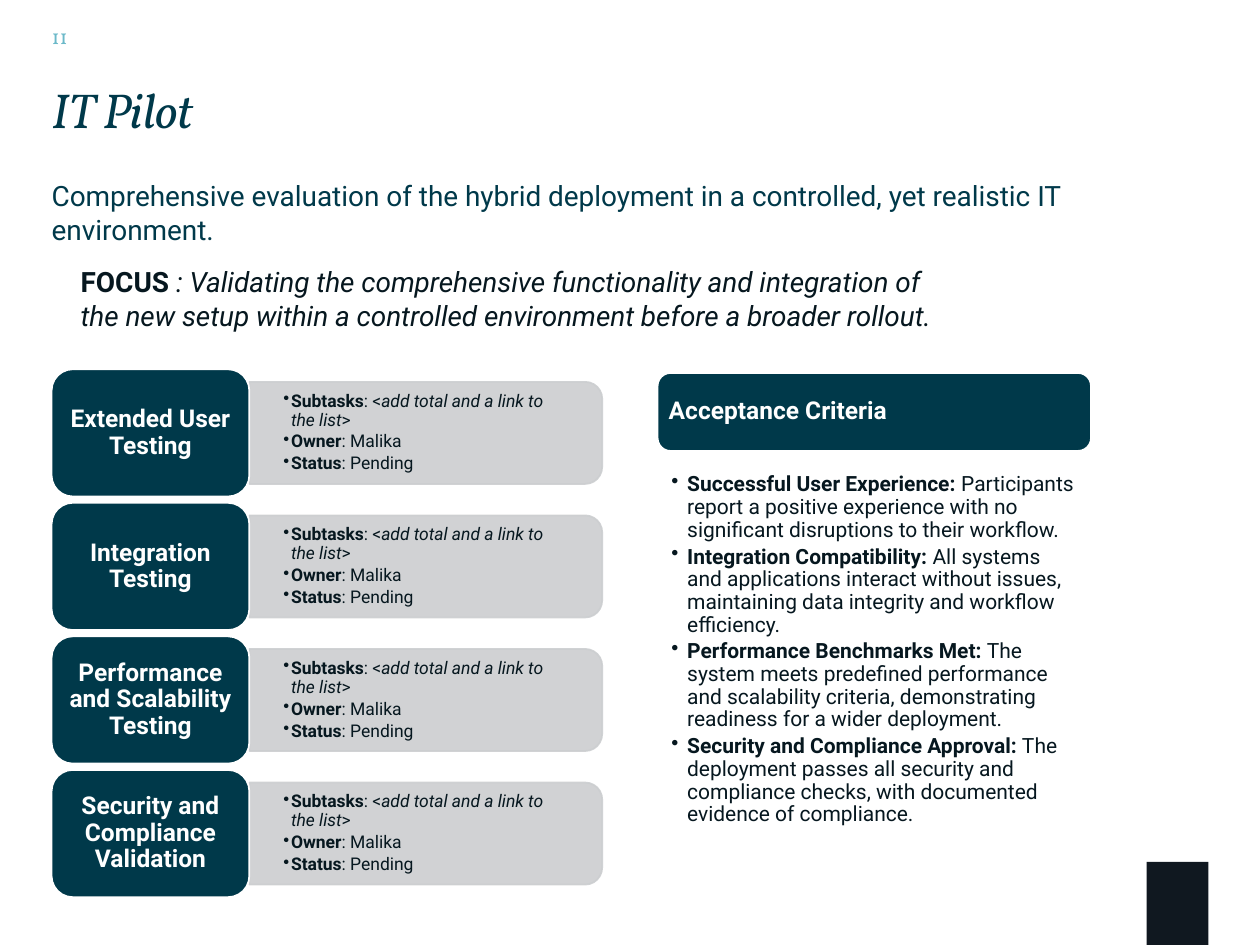
from lxml.etree import SubElement
from pptx import Presentation
from pptx.dml.color import RGBColor
from pptx.enum.shapes import MSO_SHAPE
from pptx.enum.text import MSO_ANCHOR, MSO_AUTO_SIZE, PP_ALIGN
from pptx.oxml.ns import qn
from pptx.util import Pt

TEAL = RGBColor(0x00, 0x39, 0x4A)
SKY = RGBColor(0x6B, 0xB9, 0xC9)
INK = RGBColor(0x06, 0x17, 0x1F)
GREY = RGBColor(0xCC, 0xCE, 0xD0)
BLACK = RGBColor(0x10, 0x18, 0x20)
WHITE = RGBColor(0xFF, 0xFF, 0xFF)

TASKS = [
    "Extended User Testing",
    "Integration Testing",
    "Performance and Scalability Testing",
    "Security and Compliance Validation",
]
DETAILS = [
    [("Subtasks", "b"), (": <", ""), ("add total and a link to the list", "i"), (">", "")],
    [("Owner", "b"), (": Malika", "")],
    [("Status", "b"), (": Pending", "")],
]
CRITERIA = [
    ("Successful User Experience:", "Participants report a positive experience with no "
     "significant disruptions to their workflow."),
    ("Integration Compatibility:", "All systems and applications interact without issues, "
     "maintaining data integrity and workflow efficiency."),
    ("Performance Benchmarks Met:", "The system meets predefined performance and scalability "
     "criteria, demonstrating readiness for a wider deployment."),
    ("Security and Compliance Approval:", "The deployment passes all security and compliance "
     "checks, with documented evidence of compliance."),
]
ROW_TOP, ROW_PITCH = 211, 76.32
CARD_WIDTH, CARD_HEIGHT = 113, 72.7
PANEL_WIDTH, PANEL_HEIGHT = 201.6, 58.3
LEFT, RIGHT_COLUMN, COLUMN_WIDTH = 29.5, 375.8, 247.7


def write(shape, paragraphs, size, color, font="Roboto", insets=(0, 0, 0, 0),
          anchor=MSO_ANCHOR.TOP, align=PP_ALIGN.LEFT, spacing=1.0, after=0,
          indent=0, tracking=0, wrap=True):
    """Fill a shape with paragraphs, each a list of (text, style) spans."""
    frame = shape.text_frame
    frame.auto_size = MSO_AUTO_SIZE.NONE
    frame.word_wrap = wrap
    frame.vertical_anchor = anchor
    (frame.margin_left, frame.margin_top,
     frame.margin_right, frame.margin_bottom) = [Pt(inset) for inset in insets]
    for index, spans in enumerate(paragraphs):
        para = frame.add_paragraph() if index else frame.paragraphs[0]
        if indent:
            properties = para._p.get_or_add_pPr()
            properties.set("marL", str(Pt(indent)))
            properties.set("indent", str(-Pt(indent)))
            SubElement(properties, qn("a:buChar"), char="•")
        para.alignment = align
        para.line_spacing = spacing
        para.space_before = Pt(0)
        para.space_after = Pt(after)
        for text, style in spans:
            span = para.add_run()
            span.text = text
            span.font.name = font
            span.font.size = Pt(size)
            span.font.color.rgb = color
            span.font.bold = "b" in style
            span.font.italic = "i" in style
            if tracking:
                span._r.get_or_add_rPr().set("spc", str(round(tracking * 100)))


def add_box(page, left, top, width, height):
    """Add an empty text box."""
    return page.shapes.add_textbox(Pt(left), Pt(top), Pt(width), Pt(height))


def add_block(page, kind, left, top, width, height, fill, line=None):
    """Add a filled preset shape with an optional thin outline."""
    block = page.shapes.add_shape(kind, Pt(left), Pt(top), Pt(width), Pt(height))
    block.shadow.inherit = False
    block.fill.solid()
    block.fill.fore_color.rgb = fill
    if line is None:
        block.line.fill.background()
    else:
        block.line.color.rgb = line
        block.line.width = Pt(1)
    return block


def add_title(page, text):
    """Place and format the title placeholder."""
    title = page.shapes.title
    title.left, title.top, title.width, title.height = Pt(LEFT), Pt(50.4), Pt(87), Pt(29.5)
    write(title, [[(text, "i")]], 28, TEAL, font="Vollkorn", spacing=0.86,
          tracking=-0.3, wrap=False)


def add_task(page, name, top):
    """Add a task card and the detail panel beside it."""
    panel_left = LEFT + CARD_WIDTH
    middle = top + CARD_HEIGHT / 2
    panel = add_block(page, MSO_SHAPE.ROUND_2_SAME_RECTANGLE,
                      panel_left + (PANEL_WIDTH - PANEL_HEIGHT) / 2, middle - PANEL_WIDTH / 2,
                      PANEL_HEIGHT, PANEL_WIDTH, GREY, GREY)
    panel.rotation = 90
    for color in panel._element.spPr.iter(qn("a:srgbClr")):
        SubElement(color, qn("a:alpha"), val="90000")
    details = add_box(page, panel_left, middle - 26.3, 198.7, 52.6)
    write(details, DETAILS, 10, INK, insets=(19.4, 10, 19.4, 10), anchor=MSO_ANCHOR.MIDDLE,
          spacing=0.9, after=1.7, indent=4.5)
    card = add_block(page, MSO_SHAPE.ROUNDED_RECTANGLE, LEFT, top,
                     CARD_WIDTH, CARD_HEIGHT, TEAL, WHITE)
    write(card, [[(name, "b")]], 14, WHITE, insets=(4.2, 2.1, 4.2, 2.1),
          anchor=MSO_ANCHOR.MIDDLE, align=PP_ALIGN.CENTER, spacing=0.9)


def add_criteria(page):
    """Add the acceptance heading and its bulleted list."""
    heading = add_block(page, MSO_SHAPE.ROUNDED_RECTANGLE, RIGHT_COLUMN, 213.1,
                        COLUMN_WIDTH, 44.6, TEAL, WHITE)
    write(heading, [[("Acceptance Criteria", "b")]], 14, WHITE, insets=(4.2, 4.2, 4.2, 4.2),
          anchor=MSO_ANCHOR.MIDDLE, spacing=0.9)
    items = [[(name, "b"), (f" {text}", "")] for name, text in CRITERIA]
    write(add_box(page, RIGHT_COLUMN, 269.3, COLUMN_WIDTH, 206.6), items, 12, INK,
          insets=(7.9, 1.4, 6.5, 1.4), spacing=0.9, after=2.4, indent=9)


def main():
    """Build the slide and save it."""
    deck = Presentation()
    deck.slide_width, deck.slide_height = Pt(720), Pt(540)
    page = deck.slides.add_slide(deck.slide_layouts[5])
    write(add_box(page, 24.5, 6.5, 43.2, 28.8), [[("11", "")]], 12, SKY, font="Vollkorn",
          insets=(5, 3, 5, 3), anchor=MSO_ANCHOR.MIDDLE)
    add_block(page, MSO_SHAPE.RECTANGLE, 655.2, 492.5, 35.3, 47.5, BLACK)
    add_title(page, "IT Pilot")
    write(add_box(page, LEFT, 102.2, 594, 43.9),
          [[("Comprehensive evaluation of the hybrid deployment in a controlled, "
             "yet realistic IT environment.", "")]], 16, TEAL)
    write(add_box(page, 46.1, 151.2, 495.4, 38.9),
          [[("FOCUS ", "b"),
            (": Validating the comprehensive functionality and integration of the new setup "
             "within a controlled environment before a broader rollout.", "i")]], 16, INK)
    for row, name in enumerate(TASKS):
        add_task(page, name, ROW_TOP + row * ROW_PITCH)
    add_criteria(page)
    deck.save("out.pptx")


if __name__ == "__main__":
    main()
